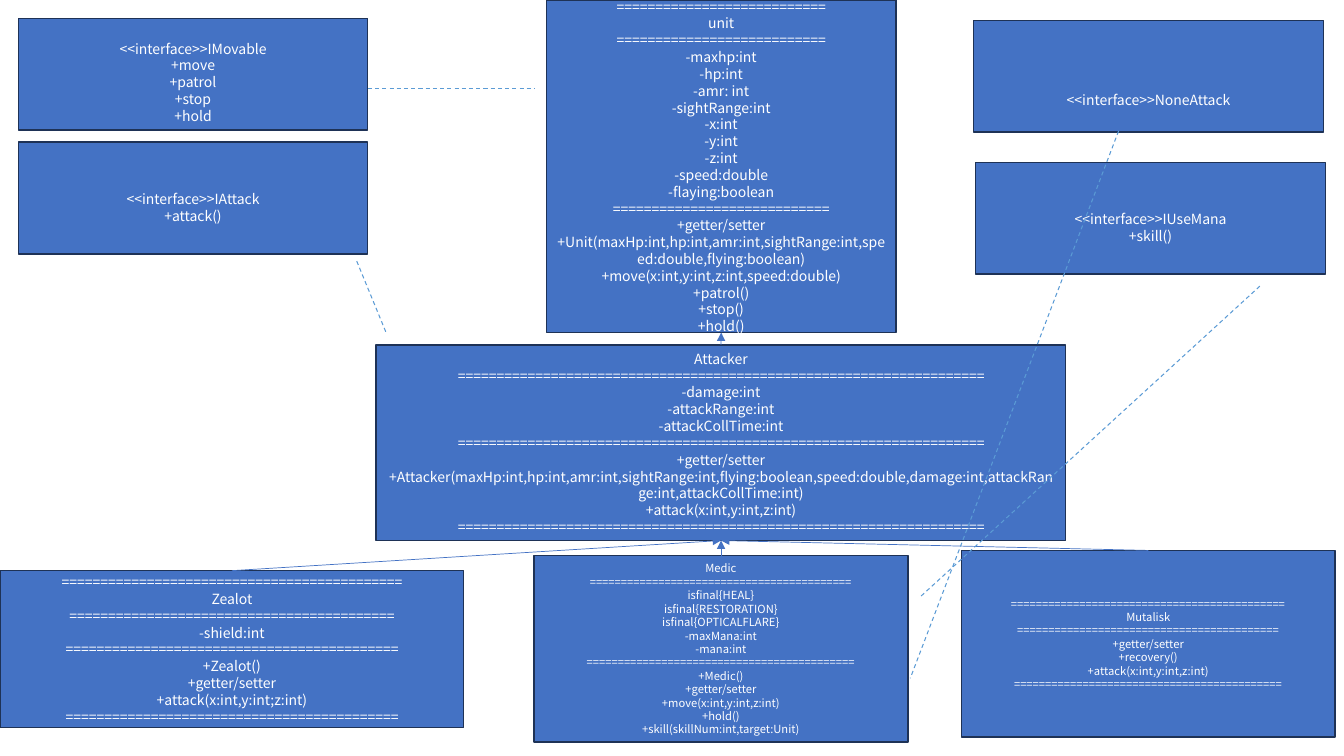
from dataclasses import dataclass

from pptx import Presentation
from pptx.dml.color import RGBColor
from pptx.enum.dml import MSO_LINE
from pptx.enum.shapes import MSO_CONNECTOR, MSO_SHAPE
from pptx.enum.text import MSO_ANCHOR, PP_ALIGN
from pptx.oxml.ns import qn
from pptx.util import Cm, Pt
from lxml.etree import SubElement


@dataclass(frozen=True)
class Theme:
    fill = RGBColor(0x44, 0x72, 0xC4)
    outline = RGBColor(0x1E, 0x32, 0x56)
    realization = RGBColor(0x5B, 0x9B, 0xD5)
    text = RGBColor(0xFF, 0xFF, 0xFF)
    font = "Noto Sans CJK KR"
    normal = Pt(10)
    small = Pt(8)


THEME = Theme()
TOP, BOTTOM = 0, 2
INTERFACE_SIZE = (8.81, 2.82)
UNIT_SIZE = (9.42, 4.7)


def rule(length):
    return "=" * length


def add_box(slide, position, dimensions, lines, size=THEME.normal, text_drop=0):
    shape = slide.shapes.add_shape(
        MSO_SHAPE.RECTANGLE, *(Cm(value) for value in position + dimensions))
    shape.shadow.inherit = False
    shape.fill.solid()
    shape.fill.fore_color.rgb = THEME.fill
    shape.line.color.rgb = THEME.outline
    shape.line.width = Pt(1)
    frame = shape.text_frame
    frame.word_wrap = True
    frame.vertical_anchor = MSO_ANCHOR.MIDDLE
    frame.margin_top = Cm(0.13 + 2 * text_drop)
    for index, line in enumerate(lines):
        paragraph = frame.add_paragraph() if index else frame.paragraphs[0]
        paragraph.text = line
        paragraph.alignment = PP_ALIGN.CENTER
        paragraph.font.name = THEME.font
        paragraph.font.size = size
        paragraph.font.color.rgb = THEME.text
    return shape


def add_interface(slide, position, name, methods, text_drop):
    add_box(slide, position, INTERFACE_SIZE,
            [f"<<interface>>{name}", *methods], text_drop=text_drop)


def add_line(slide, start, end, color, width):
    connector = slide.shapes.add_connector(
        MSO_CONNECTOR.STRAIGHT, *(Cm(value) for value in start + end))
    connector.line.color.rgb = color
    connector.line.width = Pt(width)
    SubElement(connector._element.spPr, qn("a:effectLst"))
    return connector


def add_inheritance(slide, child, parent):
    connector = add_line(slide, (0, 0), (0, 0), THEME.fill, 0.5)
    connector.begin_connect(child, TOP)
    connector.end_connect(parent, BOTTOM)
    SubElement(connector.line._get_or_add_ln(), qn("a:tailEnd"), type="triangle")


def add_realization(slide, start, end):
    connector = add_line(slide, start, end, THEME.realization, 0.75)
    connector.line.dash_style = MSO_LINE.DASH


def main():
    presentation = Presentation()
    presentation.slide_width = Cm(33.87)
    presentation.slide_height = Cm(19.05)
    slide = presentation.slides.add_slide(presentation.slide_layouts[6])

    unit = add_box(slide, (13.77, 0), (8.81, 8.38), [
        rule(27), "unit", rule(27),
        "-maxhp:int", "-hp:int", "-amr: int", "-sightRange:int",
        "-x:int", "-y:int", "-z:int", "-speed:double", "-flaying:boolean",
        rule(28), "+getter/setter",
        "+Unit(maxHp:int,hp:int,amr:int,sightRange:int,speed:double,flying:boolean)",
        "+move(x:int,y:int,z:int,speed:double)",
        "+patrol()", "+stop()", "+hold()"])
    attacker = add_box(slide, (9.48, 8.69), (17.38, 4.93), [
        "Attacker", rule(68),
        "-damage:int", "-attackRange:int", "-attackCollTime:int",
        rule(68), "+getter/setter",
        "+Attacker(maxHp:int,hp:int,amr:int,sightRange:int,flying:boolean,"
        "speed:double,damage:int,attackRange:int,attackCollTime:int)",
        "+attack(x:int,y:int,z:int)", rule(68)])
    zealot = add_box(slide, (0, 14.38), (11.69, 3.96), [
        rule(44), "Zealot", rule(42), "-shield:int", rule(43),
        "+Zealot()", "+getter/setter", "+attack(x:int,y:int;z:int)", rule(43)])
    medic = add_box(slide, (13.46, 14), UNIT_SIZE, [
        "Medic", rule(42),
        "isfinal{HEAL}", "isfinal{RESTORATION}", "isfinal{OPTICALFLARE}",
        "-maxMana:int", "-mana:int", rule(43),
        "+Medic()", "+getter/setter", "+move(x:int,y:int,z:int)", "+hold()",
        "+skill(skillNum:int,target:Unit)"], THEME.small)
    mutalisk = add_box(slide, (24.23, 13.87), UNIT_SIZE, [
        rule(44), "Mutalisk", rule(42), "+getter/setter", "+recovery()",
        "+attack(x:int,y:int,z:int)", rule(43)], THEME.small)

    add_inheritance(slide, attacker, unit)
    for subclass in (zealot, medic, mutalisk):
        add_inheritance(slide, subclass, attacker)

    add_interface(slide, (0.46, 0.46), "IMovable",
                  ["+move", "+patrol", "+stop", "+hold"], 0.2)
    add_interface(slide, (0.46, 3.58), "IAttack", ["+attack()"], 0.23)
    add_interface(slide, (24.59, 4.09), "IUseMana", ["+skill()"], 0.23)
    add_interface(slide, (24.54, 0.51), "NoneAttack", [], 0.6)

    add_realization(slide, (9.27, 2.24), (13.46, 2.24))
    add_realization(slide, (8.99, 6.58), (9.73, 8.38))
    add_realization(slide, (31.75, 7.21), (23.19, 15.04))
    add_realization(slide, (28.19, 3.3), (22.94, 17.09))

    presentation.save("out.pptx")


if __name__ == "__main__":
    main()
